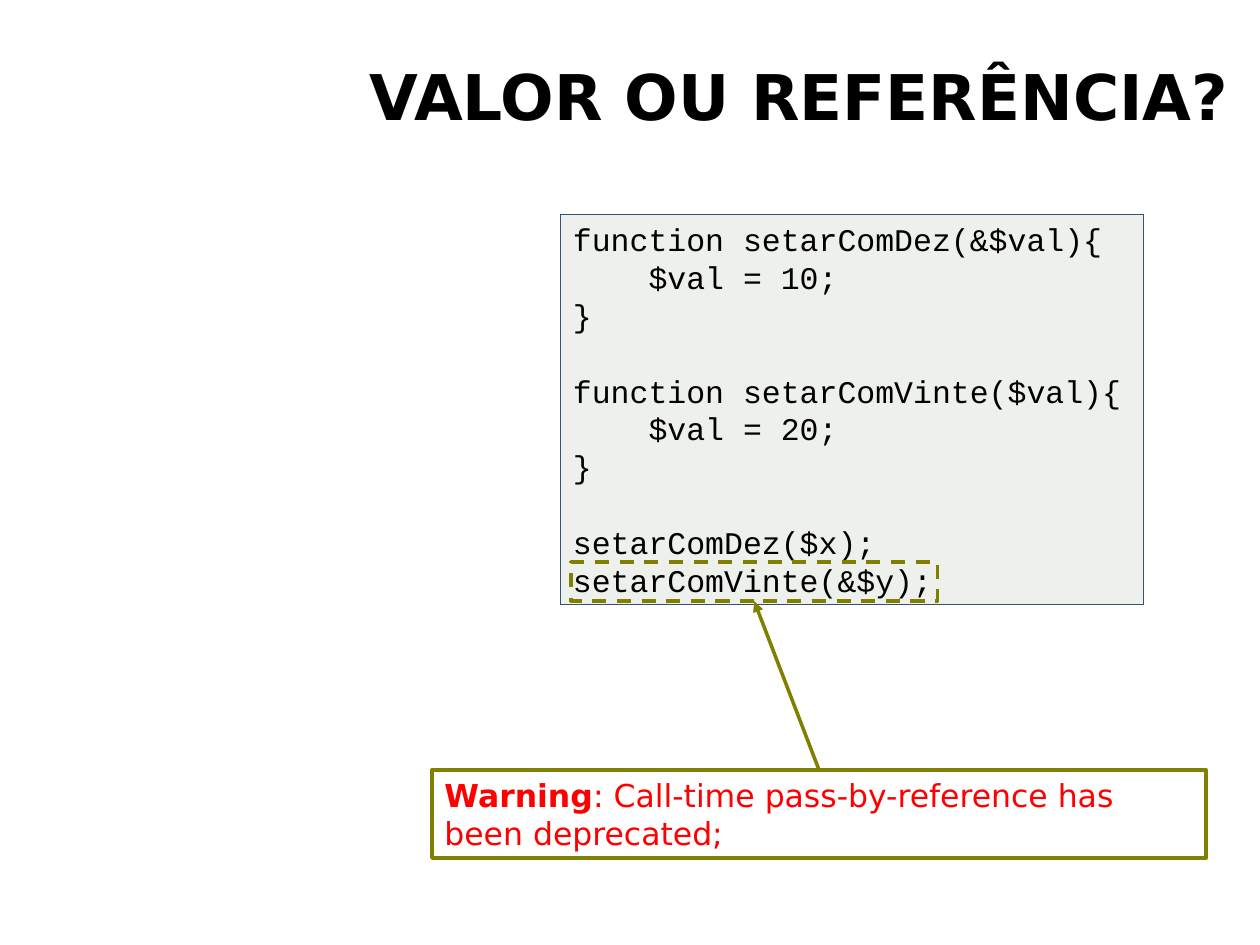
import pptx
import pptx.util
import pptx.dml.color
import pptx.enum.dml
import pptx.enum.shapes
import pptx.enum.text
import pptx.oxml
import pptx.oxml.ns
import lxml.etree

Cm, Pt = pptx.util.Cm, pptx.util.Pt

# Content
TITLE = "VALOR OU REFERÊNCIA?"
CODE = [
    "function setarComDez(&$val){",
    "    $val = 10;",
    "}",
    "    ",
    "function setarComVinte($val){",
    "    $val = 20;",
    "}",
    "    ",
    "setarComDez($x);",
    "setarComVinte(&$y);",
]
WARNING = [("Warning", True),
           (": Call-time pass-by-reference has been deprecated;", False)]

# Style and places (left, top, width, height in cm)
COLORS = {"text": "000000", "alert": "FF0000", "panel": "EEF1EB",
          "panel_line": "355071", "accent": "808000"}
SANS, MONO = "DejaVu Sans", "Courier New"
TITLE_AT = (6.81, 0.64, 18.59, 2.74)
CODE_AT = (11.3, 4.32, 11.76, 7.87)
CALL_AT = (11.51, 11.33, 7.39, 0.79)
WARNING_AT = (8.71, 15.52, 15.6, 1.78)


def rgb(name):
    return pptx.dml.color.RGBColor.from_string(COLORS[name])


def add_run(paragraph, text, font, size, color, bold=False):
    run = paragraph.add_run()
    run.text = text
    run.font.name, run.font.size, run.font.bold = font, Pt(size), bold
    run.font.color.rgb = rgb(color)


def add_box(slide, at, line, width, fill=None):
    box = slide.shapes.add_shape(pptx.enum.shapes.MSO_SHAPE.RECTANGLE,
                                 *map(Cm, at))
    box.shadow.inherit = False
    if fill:
        box.fill.solid()
        box.fill.fore_color.rgb = rgb(fill)
    else:
        box.fill.background()
    box.line.color.rgb = rgb(line)
    box.line.width = Pt(width)
    frame = box.text_frame
    frame.word_wrap = True
    frame.vertical_anchor = pptx.enum.text.MSO_ANCHOR.TOP
    frame.paragraphs[0].alignment = pptx.enum.text.PP_ALIGN.LEFT
    return box


def main():
    deck = pptx.Presentation()
    deck.slide_width, deck.slide_height = Cm(25.4), Cm(19.05)
    slide = deck.slides.add_slide(deck.slide_layouts[5])

    # Title
    title = slide.shapes.title
    title.left, title.top, title.width, title.height = map(Cm, TITLE_AT)
    title.text_frame.vertical_anchor = pptx.enum.text.MSO_ANCHOR.MIDDLE
    heading = title.text_frame.paragraphs[0]
    heading.alignment = pptx.enum.text.PP_ALIGN.CENTER
    heading.line_spacing = 0.9
    add_run(heading, TITLE, SANS, 36, "text", True)

    # Code panel
    code = add_box(slide, CODE_AT, "panel_line", 0.75, "panel").text_frame
    for number, text in enumerate(CODE):
        line = code.add_paragraph() if number else code.paragraphs[0]
        line.alignment = pptx.enum.text.PP_ALIGN.LEFT
        line.line_spacing = Pt(21.6)
        add_run(line, text, MONO, 18, "text")

    # Dashed frame around the deprecated call
    call = add_box(slide, CALL_AT, "accent", 2)
    call.line.dash_style = pptx.enum.dml.MSO_LINE.DASH

    # Warning
    warning = add_box(slide, WARNING_AT, "accent", 2)
    for text, bold in WARNING:
        add_run(warning.text_frame.paragraphs[0], text, SANS, 18, "alert", bold)

    # Arrow from the warning's top to the call's bottom
    arrow = slide.shapes.add_connector(
        pptx.enum.shapes.MSO_CONNECTOR.STRAIGHT, 0, 0, 0, 0)
    arrow.begin_connect(warning, 0)
    arrow.end_connect(call, 2)
    arrow.line.color.rgb = rgb("accent")
    arrow.line.width = Pt(2)
    qn = pptx.oxml.ns.qn
    lxml.etree.SubElement(arrow.line._get_or_add_ln(), qn("a:tailEnd"),
                          type="triangle")
    lxml.etree.SubElement(arrow._element.spPr, qn("a:effectLst"))

    deck.save("out.pptx")


if __name__ == "__main__":
    main()
